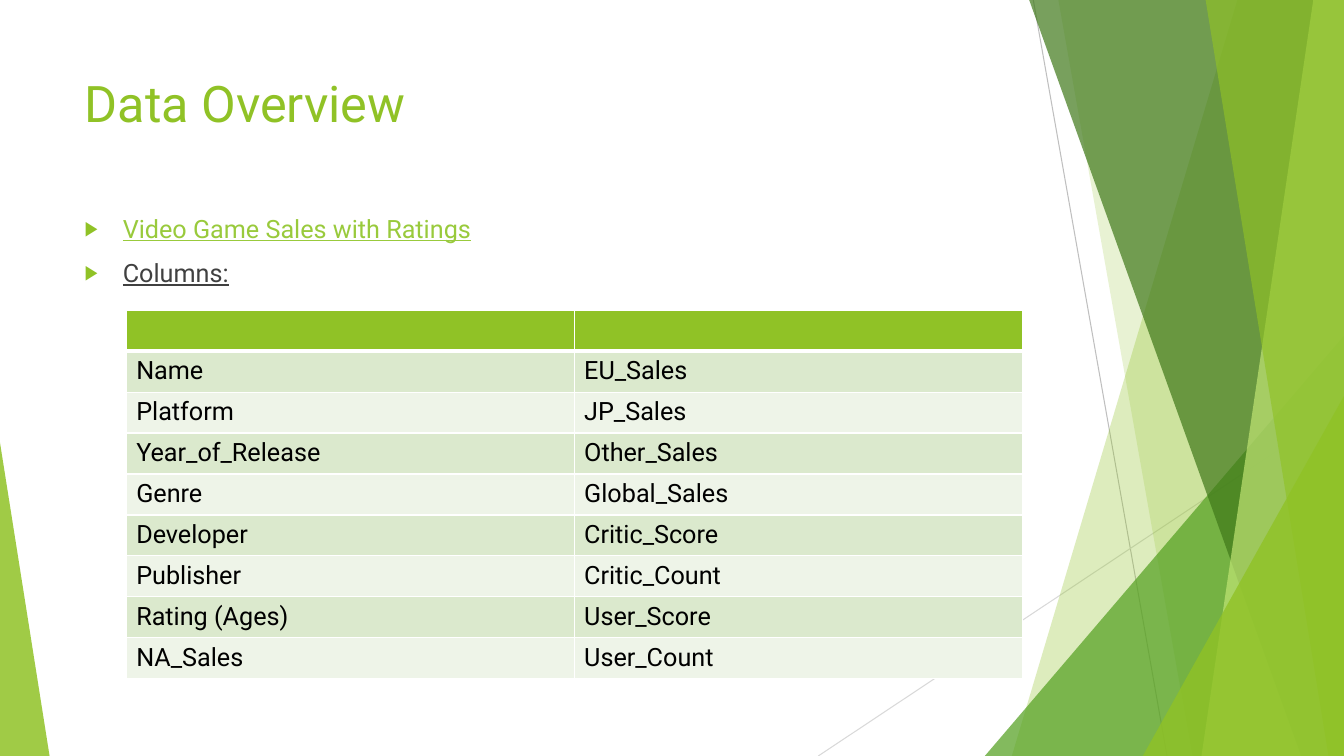
"""Build the Data Overview slide: faceted green backdrop, two bullets and a table of columns."""
from lxml.etree import SubElement
from pptx import Presentation
from pptx.dml.color import RGBColor
from pptx.enum.shapes import MSO_CONNECTOR, MSO_SHAPE
from pptx.enum.text import MSO_ANCHOR, MSO_AUTO_SIZE, PP_ALIGN
from pptx.oxml import parse_xml
from pptx.oxml.ns import nsdecls, qn
from pptx.util import Cm, Pt

COLORS = {
    "lime": "90C226", "green": "54A021", "forest": "3F7819", "pale": "C0E474",
    "link": "99CA3C", "body": "404040", "black": "000000", "white": "FFFFFF",
    "band_dark": "DBE9CD", "band_light": "EEF4E8",
    "line_dark": "BFBFBF", "line_light": "D9D9D9",
}


def write(paragraph, text, size=18, color="black", underline=None, before=0):
    paragraph.alignment = PP_ALIGN.LEFT
    paragraph.space_before = Pt(before)
    run = paragraph.add_run()
    run.text = text
    run.font.name = "Roboto"
    run.font.size = Pt(size)
    run.font.underline = underline
    run.font.color.rgb = RGBColor.from_string(COLORS[color])


def paint(facet, color, opacity):
    facet.shadow.inherit = False
    facet.line.fill.background()
    facet.fill.solid()
    facet.fill.fore_color.rgb = RGBColor.from_string(COLORS[color])
    tint = facet.element.spPr.find(qn("a:solidFill"))[0]
    SubElement(tint, qn("a:alpha"), val=str(opacity * 1000))


deck = Presentation()
deck.slide_width, deck.slide_height = Cm(33.87), Cm(19.05)
slide = deck.slides.add_slide(deck.slide_layouts[1])
shapes = slide.shapes
RIGHT, TOP, BOTTOM = 33.87, -0.02, 19.05

rays = [
    (26.04, 0, 29.41, BOTTOM, "line_dark"),
    (RIGHT, 10.24, 20.62, BOTTOM, "line_light"),
]
for x1, y1, x2, y2, color in rays:
    ray = shapes.add_connector(MSO_CONNECTOR.STRAIGHT, Cm(x1), Cm(y1), Cm(x2), Cm(y2))
    ray.line.width = Pt(0.75)
    ray.line.color.rgb = RGBColor.from_string(COLORS[color])
    SubElement(ray.element.spPr, qn("a:effectLst"))

facets = [
    ("panel", 31.19, 25.5, "lime", 30),
    ("panel", 26.67, 30.05, "lime", 20),
    ("corner", 24.82, 8.46, "green", 72),
    ("panel", 25.93, 32.79, "forest", 70),
    ("panel", 33.1, 30.28, "pale", 70),
    ("panel", 30.38, 33.48, "lime", 65),
    ("corner", 28.8, 9.98, "lime", 80),
]
for kind, first, second, color, opacity in facets:
    if kind == "panel":
        outline = shapes.build_freeform(Cm(first), Cm(TOP))
        outline.add_line_segments(
            [(Cm(RIGHT), Cm(TOP)), (Cm(RIGHT), Cm(BOTTOM)), (Cm(second), Cm(BOTTOM))])
        facet = outline.convert_to_shape()
    else:
        facet = shapes.add_shape(MSO_SHAPE.ISOSCELES_TRIANGLE, Cm(first), Cm(second),
                                 Cm(RIGHT - first), Cm(BOTTOM - second))
        facet.adjustments[0] = 1
    paint(facet, color, opacity)

left_facet = shapes.add_shape(MSO_SHAPE.ISOSCELES_TRIANGLE, 0, Cm(11.15), Cm(1.25), Cm(7.9))
left_facet.adjustments[0] = 0
paint(left_facet, "lime", 85)

title, bullets = shapes.title, slide.placeholders[1]
for holder, top, height in [(title, 1.7, 2.03), (bullets, 4.14, 10.77)]:
    holder.left, holder.top, holder.width, holder.height = Cm(1.88), Cm(top), Cm(23.88), Cm(height)
    holder.text_frame.word_wrap = True
    holder.text_frame.auto_size = MSO_AUTO_SIZE.NONE
    holder.text_frame.vertical_anchor = MSO_ANCHOR.TOP
    holder.element.getparent().append(holder.element)

write(title.text_frame.paragraphs[0], "Data Overview", size=36, color="lime")

bullets.text_frame.margin_top = Cm(1.23)
source_line = bullets.text_frame.paragraphs[0]
columns_line = bullets.text_frame.add_paragraph()
write(source_line, "Video Game Sales with Ratings", color="link", underline=True)
write(columns_line, "Columns:", color="body", underline=True, before=10)
for bullet in (source_line, columns_line):
    layout = bullet._p.get_or_add_pPr()
    layout.set("marL", str(Cm(0.96)))
    layout.set("indent", str(Cm(-0.96)))
    SubElement(SubElement(layout, qn("a:buClr")), qn("a:srgbClr"), val=COLORS["lime"])
    SubElement(layout, qn("a:buSzPct"), val="80000")
    SubElement(layout, qn("a:buChar"), char="▶")

fields = [
    ("", ""),
    ("Name", "EU_Sales"),
    ("Platform", "JP_Sales"),
    ("Year_of_Release", "Other_Sales"),
    ("Genre", "Global_Sales"),
    ("Developer", "Critic_Score"),
    ("Publisher", "Critic_Count"),
    ("Rating (Ages)", "User_Score"),
    ("NA_Sales", "User_Count"),
]
field_table = shapes.add_table(len(fields), 2, Cm(3.18), Cm(7.82), Cm(22.58), Cm(9.28)).table
for row, names in enumerate(fields):
    fill = "lime" if row == 0 else "band_dark" if row % 2 else "band_light"
    for column, name in enumerate(names):
        cell = field_table.cell(row, column)
        for side in "LRTB":
            thick = (row, side) in [(0, "B"), (1, "T")]
            cell._tc.get_or_add_tcPr().append(parse_xml(
                f'<a:ln{side} {nsdecls("a")} w="{Pt(3 if thick else 1)}"><a:solidFill>'
                f'<a:srgbClr val="{COLORS["white"]}"/></a:solidFill></a:ln{side}>'))
        cell.fill.solid()
        cell.fill.fore_color.rgb = RGBColor.from_string(COLORS[fill])
        if name:
            write(cell.text_frame.paragraphs[0], name)

deck.save("out.pptx")
